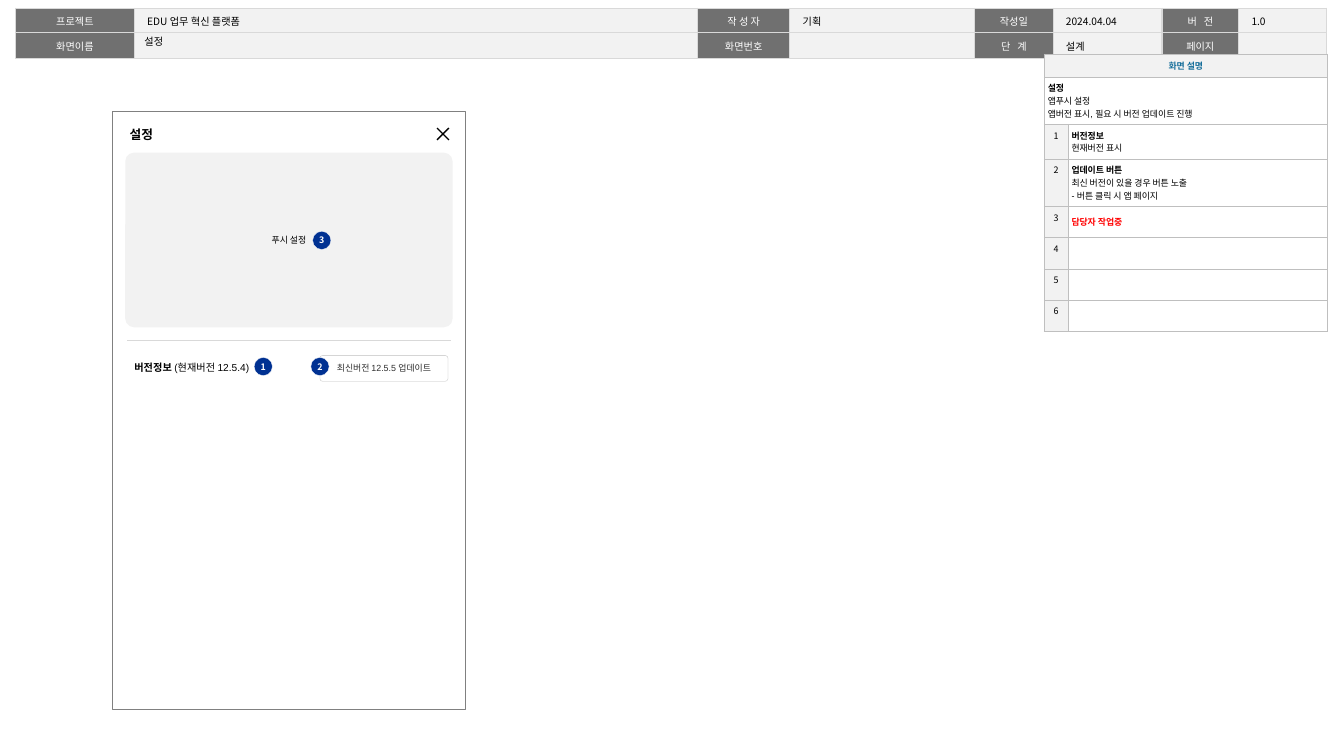
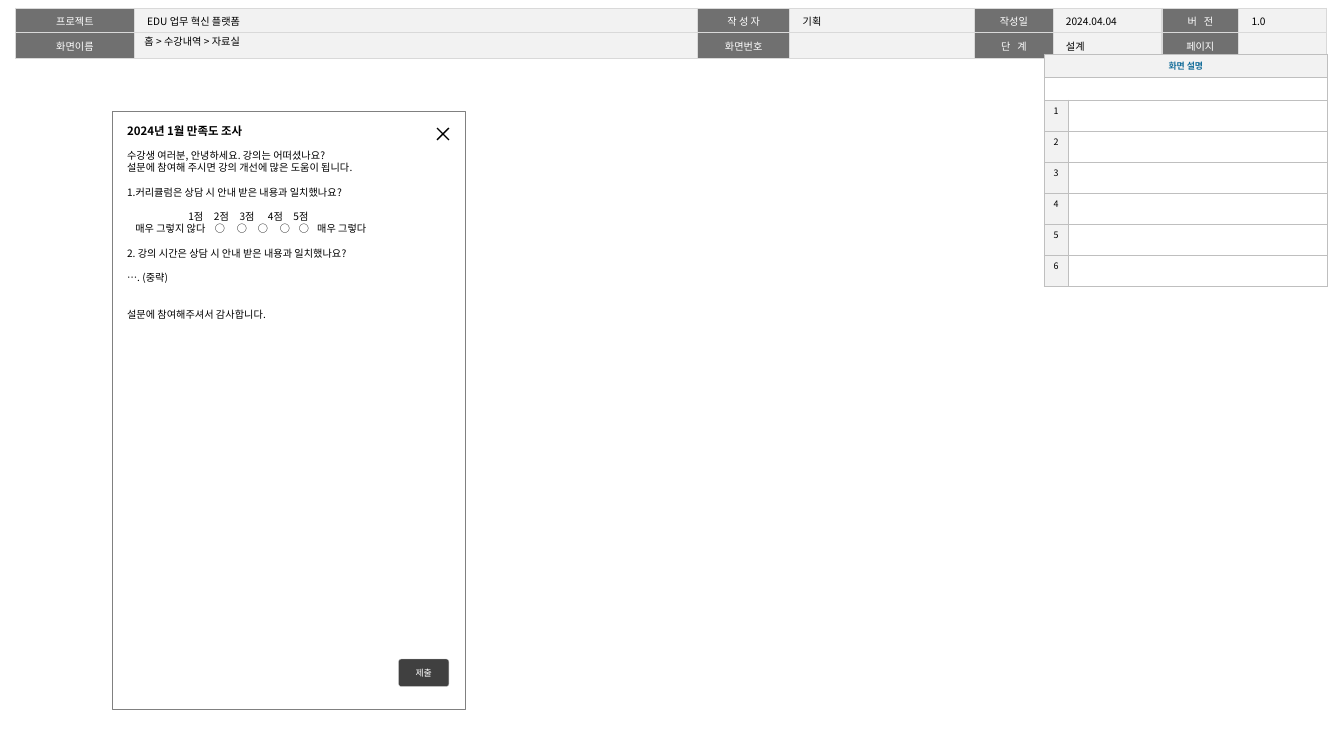
from dataclasses import dataclass

from lxml import etree
from pptx import Presentation
from pptx.dml.color import RGBColor
from pptx.enum.shapes import MSO_CONNECTOR, MSO_SHAPE
from pptx.enum.text import MSO_ANCHOR, PP_ALIGN
from pptx.oxml.ns import qn
from pptx.util import Emu, Pt

EMU_PER_PX = 9144  # 100 px to the inch
LEFT, CENTER = PP_ALIGN.LEFT, PP_ALIGN.CENTER
TOP, MIDDLE = MSO_ANCHOR.TOP, MSO_ANCHOR.MIDDLE
RECT, ROUNDED, OVAL = MSO_SHAPE.RECTANGLE, MSO_SHAPE.ROUNDED_RECTANGLE, MSO_SHAPE.OVAL
STRAIGHT = MSO_CONNECTOR.STRAIGHT
NO_STYLE = "{2D5ABB26-0587-4C30-8999-92F81FD0307C}"
ALL_EDGES = ("L", "R", "T", "B")


@dataclass(frozen=True)
class Theme:
    black: str = "000000"
    white: str = "FFFFFF"
    label: str = "707070"
    panel: str = "F2F2F2"
    rule: str = "D9D9D9"
    border: str = "BFBFBF"
    frame: str = "808080"
    heading: str = "176F9B"
    alert: str = "FF0000"
    badge: str = "003192"
    button_text: str = "2E2E2E"
    submit: str = "404040"
    small: int = 7
    body: int = 8
    survey_title: int = 9
    screen_title: int = 10
    korean: str = "Noto Sans CJK KR"
    latin: str = "Arial"


THEME = Theme()


@dataclass(frozen=True)
class Style:
    size: int = THEME.body
    color: str = THEME.black
    bold: bool = False
    font: str = THEME.korean


BODY = Style()
BODY_LATIN = Style(font=THEME.latin)
BODY_LATIN_BOLD = Style(bold=True, font=THEME.latin)
LABEL = Style(color=THEME.white)
SMALL = Style(THEME.small)
NOTE = Style(THEME.small, font=THEME.latin)
NOTE_BOLD = Style(THEME.small, bold=True, font=THEME.latin)
NOTE_ALERT = Style(THEME.small, THEME.alert, True, THEME.latin)
NOTE_HEADING = Style(THEME.small, THEME.heading, True)
BADGE = Style(THEME.small, THEME.white, True)

HEADER_COLUMNS = (130, 616, 101, 202, 86, 119, 84, 96)
HEADER_ROWS = (
    ("프로젝트", "EDU 업무 혁신 플랫폼", "작 성 자", "기획", "작성일", "2024.04.04", "버   전", "1.0"),
    ("화면이름", "", "화면번호", "", "단   계", "설계", "페이지", ""),
)
NOTE_COUNT = 6
SURVEY_PITCH = 9.6


def px(value):
    return Emu(int(value * EMU_PER_PX))


def rgb(code):
    return RGBColor.from_string(code)


def format_run(run, style):
    run.font.size = Pt(style.size)
    run.font.bold = style.bold
    run.font.color.rgb = rgb(style.color)
    run.font.name = style.font
    etree.SubElement(run.font._element, qn("a:ea"), typeface=THEME.korean)


def write(frame, text, *styles, align=LEFT, spacing=None):
    """Fill a frame, one style a line; the last style serves the remaining lines."""
    frame.text = text
    for index, paragraph in enumerate(frame.paragraphs):
        style = styles[min(index, len(styles) - 1)]
        paragraph.alignment = align
        if spacing:
            paragraph.line_spacing = spacing
        for run in paragraph.runs:
            format_run(run, style)
        if not paragraph.runs:
            etree.SubElement(paragraph._p, qn("a:endParaRPr"), sz=str(style.size * 100))


def set_insets(target, horizontal, vertical):
    target.margin_left = target.margin_right = px(horizontal)
    target.margin_top = target.margin_bottom = px(vertical)


def add_box(slide, kind, area, fill=None, line=None, weight=0.25, radius=None):
    box = slide.shapes.add_shape(kind, *map(px, area))
    box.shadow.inherit = False
    if radius is not None:
        box.adjustments[0] = radius
    if fill:
        box.fill.solid()
        box.fill.fore_color.rgb = rgb(fill)
    else:
        box.fill.background()
    if line:
        box.line.color.rgb = rgb(line)
        box.line.width = Pt(weight)
    else:
        box.line.fill.background()
    return box


def add_caption(box, text, style, inset=0):
    frame = box.text_frame
    frame.word_wrap = False
    frame.vertical_anchor = MIDDLE
    set_insets(frame, inset, 0)
    write(frame, text, style, align=CENTER)


def add_button(slide, area, text, fill, color):
    button = add_box(slide, ROUNDED, area, fill, THEME.border, radius=0.1)
    add_caption(button, text, Style(THEME.small, color, font=THEME.latin), inset=4)


def add_badge(slide, left, top, number):
    badge = add_box(slide, OVAL, (left, top, 20, 20), THEME.badge, THEME.white)
    add_caption(badge, str(number), BADGE)


def add_label(slide, area, text, style, wrap, insets):
    frame = slide.shapes.add_textbox(*map(px, area)).text_frame
    frame.word_wrap = wrap
    frame.vertical_anchor = MIDDLE
    set_insets(frame, *insets)
    write(frame, text, style)


def add_grid(slide, left, top, columns, rows):
    area = (left, top, sum(columns), sum(rows))
    table = slide.shapes.add_table(len(rows), len(columns), *map(px, area)).table
    table.first_row = table.horz_banding = False
    table._tbl.tblPr.find(qn("a:tableStyleId")).text = NO_STYLE
    for column, width in zip(table.columns, columns):
        column.width = px(width)
    for row, height in zip(table.rows, rows):
        row.height = px(height)
    return table


def dress_cell(cell, insets, border, weight, fill=None, edges=ALL_EDGES, anchor=TOP):
    set_insets(cell, *insets)
    cell.vertical_anchor = anchor
    properties = cell._tc.get_or_add_tcPr()
    for edge in edges:
        line = etree.SubElement(properties, qn(f"a:ln{edge}"), w=str(Pt(weight)))
        paint = etree.SubElement(line, qn("a:solidFill"))
        etree.SubElement(paint, qn("a:srgbClr"), val=border)
    if fill:
        cell.fill.solid()
        cell.fill.fore_color.rgb = rgb(fill)
    else:
        cell.fill.background()


def add_header(slide, screen_name):
    table = add_grid(slide, 17, 9, HEADER_COLUMNS, (27, 28))
    for row, texts in enumerate(HEADER_ROWS):
        for column, text in enumerate(texts):
            is_label = column % 2 == 0
            cell = table.cell(row, column)
            dress_cell(cell, (14, 5), THEME.rule, 1, THEME.label if is_label else THEME.panel)
            write(cell.text_frame, text, LABEL if is_label else BODY,
                  align=CENTER if is_label else LEFT, spacing=1.05)
    add_label(slide, (147, 37, 385, 16), screen_name, BODY, True, (11, 5))


def add_phone(slide):
    add_box(slide, RECT, (123, 122, 386, 654), line=THEME.frame, weight=0.5)
    left, top, side = 478, 140, 13
    for start, end in ((left, left + side), (left + side, left)):
        stroke = slide.shapes.add_connector(
            STRAIGHT, px(start), px(top), px(end), px(top + side))
        stroke.line.color.rgb = rgb(THEME.black)
        stroke.line.width = Pt(1)
        etree.SubElement(stroke._element.spPr, qn("a:effectLst"))


def row_height(text, least):
    """Height that holds every line of small text, and no less than least."""
    return max(least, 10 + 14 * len(text.split("\n")))


def add_descriptions(slide, summary="", notes=()):
    """Draw the side table; each note is its text and the style of its lines."""
    notes = tuple(notes) + (("", (NOTE,)),) * (NOTE_COUNT - len(notes))
    heights = [25, row_height(summary, 25)] + [row_height(text, 34) for text, _ in notes]
    table = add_grid(slide, 1142, 59, (26, 284), heights)

    def fill_cell(row, column, text, *styles, fill=THEME.white, align=LEFT, anchor=TOP):
        cell = table.cell(row, column)
        dress_cell(cell, (4, 5), THEME.border, 0.25, fill, anchor=anchor)
        write(cell.text_frame, text, *styles, align=align)

    for row, (text, styles, look) in enumerate((
        ("화면 설명", (NOTE_HEADING,), {"fill": THEME.panel, "align": CENTER, "anchor": MIDDLE}),
        (summary, (NOTE_BOLD, NOTE), {}),
    )):
        fill_cell(row, 0, text, *styles, **look)
        fill_cell(row, 1, "", SMALL)
        table.cell(row, 0).merge(table.cell(row, 1))
    for number, (text, styles) in enumerate(notes, 1):
        fill_cell(number + 1, 0, str(number), SMALL, fill=THEME.panel, align=CENTER)
        fill_cell(number + 1, 1, text, *styles, anchor=MIDDLE)


def add_version_row(slide):
    cell = add_grid(slide, 139, 372, (354,), (58,)).cell(0, 0)
    dress_cell(cell, (8, 4), THEME.rule, 0.25, edges=("T",), anchor=MIDDLE)
    write(cell.text_frame, "버전정보 ", BODY_LATIN_BOLD)
    current = cell.text_frame.paragraphs[0].add_run()
    current.text = "(현재버전 12.5.4)"
    format_run(current, BODY_LATIN)


def set_number(paragraph, hanging):
    properties = paragraph._p.get_or_add_pPr()
    properties.set("marL", str(px(hanging)))
    properties.set("indent", str(px(-hanging)))
    etree.SubElement(properties, qn("a:buAutoNum"), type="arabicPeriod")


def set_tabs(paragraph, stops):
    tabs = etree.SubElement(paragraph._p.get_or_add_pPr(), qn("a:tabLst"))
    for stop in stops:
        etree.SubElement(tabs, qn("a:tab"), pos=str(px(stop)), algn="l")


def add_survey(slide):
    # Each entry: blank lines before it, then its text.
    lines = (
        (0, "2024년 1월 만족도 조사"),
        (1, "수강생 여러분, 안녕하세요. 강의는 어떠셨나요?"),
        (0, "설문에 참여해 주시면 강의 개선에 많은 도움이 됩니다."),
        (1, "커리큘럼은 상담 시 안내 받은 내용과 일치했나요?"),
        (1, "\t1점\t2점\t3점\t4점\t5점"),
        (0, "\t매우 그렇지 않다\t○\t○\t○\t○\t○\t매우 그렇다"),
        (1, "2. 강의 시간은 상담 시 안내 받은 내용과 일치했나요?"),
        (1, "…. (중략)"),
        (2, "설문에 참여해주셔서 감사합니다."),
    )
    frame = add_box(slide, ROUNDED, (127, 137, 294, 236), THEME.white, radius=0).text_frame
    frame.word_wrap = True
    frame.vertical_anchor = TOP
    set_insets(frame, 12, 0)
    frame.margin_right = px(4)
    write(frame, "\n".join(text for _, text in lines),
          Style(THEME.survey_title, bold=True), BODY, spacing=Pt(SURVEY_PITCH))
    for paragraph, (blank_lines, _) in zip(frame.paragraphs, lines):
        if blank_lines:
            paragraph.space_before = Pt(blank_lines * SURVEY_PITCH)
    question, scores, choices = frame.paragraphs[3:6]
    set_number(question, 9)
    set_tabs(scores, (67, 95, 123, 154, 182))
    set_tabs(choices, (9, 96, 120, 143, 167, 188, 208))


def start_screen(deck, screen_name):
    slide = deck.slides.add_slide(deck.slide_layouts[6])
    add_header(slide, screen_name)
    add_phone(slide)
    return slide


def build_settings(deck):
    slide = start_screen(deck, "설정")
    add_descriptions(slide, "설정\n앱푸시 설정\n앱버전 표시, 필요 시 버전 업데이트 진행", (
        ("버전정보\n현재버전 표시", (NOTE_BOLD, NOTE)),
        ("업데이트 버튼\n최신 버전이 있을 경우 버튼 노출\n- 버튼 클릭 시 앱 페이지", (NOTE_BOLD, NOTE)),
        ("담당자 작업중", (NOTE_ALERT,)),
    ))
    add_label(slide, (132, 134, 48, 27), "설정", Style(THEME.screen_title, bold=True), False, (10, 5))
    push_panel = add_box(slide, ROUNDED, (137, 167, 358, 191), THEME.panel, radius=0.05)
    add_caption(push_panel, "푸시 설정", SMALL)
    add_version_row(slide)
    add_button(slide, (350, 389, 140, 28), "최신버전 12.5.5 업데이트", THEME.white, THEME.button_text)
    for number, (left, top) in enumerate(((278, 391), (340, 391), (342, 253)), 1):
        add_badge(slide, left, top, number)


def build_survey(deck):
    slide = start_screen(deck, "홈 > 수강내역 > 자료실")
    add_descriptions(slide)
    add_survey(slide)
    add_button(slide, (436, 721, 55, 30), "제출", THEME.submit, THEME.white)


def main():
    deck = Presentation()
    deck.slide_width, deck.slide_height = px(1470), px(827)
    build_settings(deck)
    build_survey(deck)
    deck.save("out.pptx")


if __name__ == "__main__":
    main()
